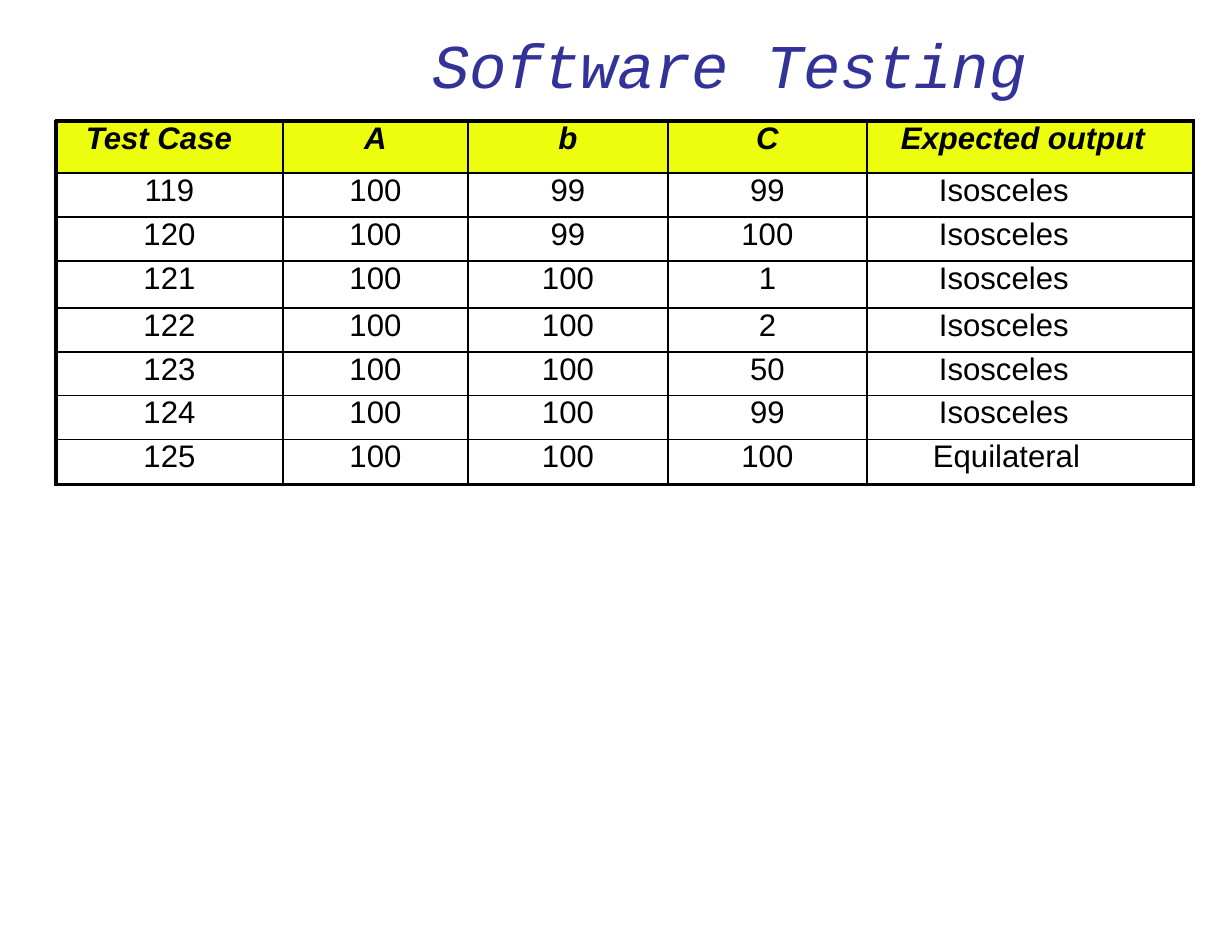
from lxml.etree import SubElement
from pptx import Presentation
from pptx.dml.color import RGBColor
from pptx.enum.text import PP_ALIGN
from pptx.oxml.ns import qn
from pptx.util import Pt

PX = 914400 // 112
COLORS = {"title": "323299", "ink": "000000", "header": "ECFD0E"}

COLUMN_WIDTHS = [227, 185, 200, 199, 327]
ROW_HEIGHTS = [52, 44, 44, 47, 44, 44, 44, 45]
HEADINGS = ["Test Case", "A", "b", "C", "Expected output"]
TEST_CASES = [
    (119, 100, 99, 99, "Isosceles"),
    (120, 100, 99, 100, "Isosceles"),
    (121, 100, 100, 1, "Isosceles"),
    (122, 100, 100, 2, "Isosceles"),
    (123, 100, 100, 50, "Isosceles"),
    (124, 100, 100, 99, "Isosceles"),
    (125, 100, 100, 100, "Equilateral"),
]
INDENTS = {"Test Case": 30, "Expected output": 34, "Isosceles": 72, "Equilateral": 66}
THIN, THICK = 1, 2.25


def write_text(frame, text, size=20, font="Arial", color="ink",
               bold=False, italic=False, indent=None, spacing=0):
    """Write one line, centred unless a left indent in px is given."""
    paragraph = frame.paragraphs[0]
    if indent is None:
        paragraph.alignment = PP_ALIGN.CENTER
    else:
        paragraph.alignment = PP_ALIGN.LEFT
        properties = paragraph._p.get_or_add_pPr()
        properties.set("marL", str(indent * PX))
        properties.set("indent", "0")
    run = paragraph.add_run()
    run.text = text
    run.font.size = Pt(size)
    run.font.name = font
    run.font.bold = bold
    run.font.italic = italic
    run.font.color.rgb = RGBColor.from_string(COLORS[color])
    if spacing:
        run._r.get_or_add_rPr().set("spc", str(spacing))


def add_title(slide, text, left, top, width, height):
    box = slide.shapes.add_textbox(left * PX, top * PX, width * PX, height * PX)
    frame = box.text_frame
    frame.word_wrap = True
    frame.margin_left = frame.margin_right = frame.margin_bottom = 0
    frame.margin_top = 26 * PX
    write_text(frame, text, size=40, font="Courier New", color="title",
               italic=True, indent=325, spacing=-10)


def set_borders(cell, left, right, top, bottom):
    properties = cell._tc.get_or_add_tcPr()
    for side, width in zip("LRTB", (left, right, top, bottom)):
        line = SubElement(properties, qn(f"a:ln{side}"), w=str(Pt(width)))
        fill = SubElement(line, qn("a:solidFill"))
        SubElement(fill, qn("a:srgbClr"), val=COLORS["ink"])


def add_test_table(slide, left, top):
    rows = [HEADINGS, *TEST_CASES]
    last_row, last_column = len(rows) - 1, len(HEADINGS) - 1
    table = slide.shapes.add_table(
        len(rows), len(HEADINGS), left * PX, top * PX,
        sum(COLUMN_WIDTHS) * PX, sum(ROW_HEIGHTS) * PX).table
    table.first_row = table.horz_banding = False
    for column, width in zip(table.columns, COLUMN_WIDTHS):
        column.width = width * PX
    for row, height in zip(table.rows, ROW_HEIGHTS):
        row.height = height * PX

    for r, values in enumerate(rows):
        is_header = r == 0
        for c, value in enumerate(values):
            cell = table.cell(r, c)
            cell.margin_left = cell.margin_right = 0
            cell.margin_top = cell.margin_bottom = 0
            set_borders(cell,
                        left=THICK if c == 0 else THIN,
                        right=THICK if c == last_column else THIN,
                        top=THICK if is_header else THIN,
                        bottom=THICK if r == last_row else THIN)
            if is_header:
                cell.fill.solid()
                cell.fill.fore_color.rgb = RGBColor.from_string(COLORS["header"])
            else:
                cell.fill.background()
            write_text(cell.text_frame, str(value), bold=is_header,
                       italic=is_header, indent=INDENTS.get(value))


def main():
    presentation = Presentation()
    presentation.slide_width = 1232 * PX
    presentation.slide_height = 952 * PX
    slide = presentation.slides.add_slide(presentation.slide_layouts[6])
    add_title(slide, "Software Testing", 107, 0, 1026, 102)
    add_test_table(slide, 56, 121)
    presentation.save("out.pptx")


if __name__ == "__main__":
    main()
